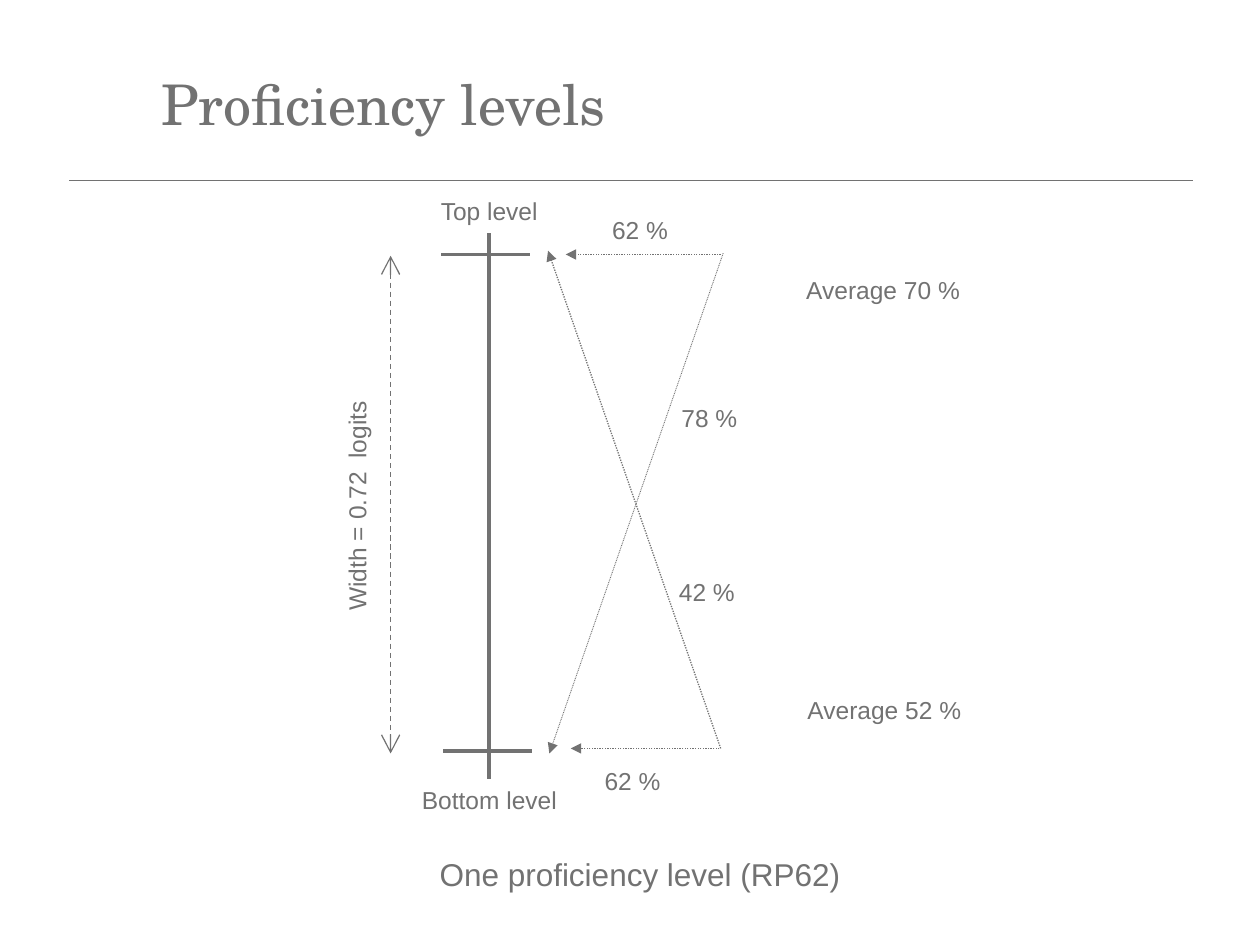
"""Build the slide that shows the width and success rates of one proficiency level."""
from pptx import Presentation
from pptx.dml.color import RGBColor
from pptx.enum.dml import MSO_LINE_DASH_STYLE as Dash
from pptx.enum.shapes import MSO_CONNECTOR as Connector
from pptx.enum.text import MSO_ANCHOR as Anchor, MSO_AUTO_SIZE as AutoSize
from pptx.oxml.ns import qn
from pptx.util import Inches, Pt
from lxml.etree import SubElement

GRAY = RGBColor(0x72, 0x72, 0x72)

TITLE = ("Proficiency levels", 1.18, 0.26, 8.11, 1.12)
CAPTION = ("One proficiency level (RP62)", 3.39, 6.74, 3.38, 0.4)
WIDTH_LABEL = ("Width = 0.72  logits", 1.9, 3.84, 1.87, 0.34)
LABELS = [
    ("Bottom level", 3.25, 6.18, 1.28, 0.34),
    ("Top level", 3.4, 1.51, 0.97, 0.34),
    ("62 %", 4.7, 6.03, 0.67, 0.33),
    ("62 %", 4.76, 1.66, 0.67, 0.33),
    ("42 %", 5.29, 4.53, 0.67, 0.33),
    ("78 %", 5.31, 3.15, 0.67, 0.33),
    ("Average 52 %", 6.31, 5.47, 1.42, 0.33),
    ("Average 70 %", 6.3, 2.13, 1.42, 0.33),
]

RULE = (0.55, 1.43, 9.47, 1.43)
SCALE = [
    (3.88, 1.85, 3.88, 6.18),
    (3.5, 2.02, 4.21, 2.02),
    (3.52, 5.96, 4.22, 5.96),
]
WIDTH_ARROW = (3.1, 2.03, 3.1, 5.98)
RATE_ARROWS = [
    ((5.72, 5.94, 4.35, 1.99), 0.75),
    ((5.74, 2.01, 4.36, 5.98), 0.5),
    ((5.71, 5.94, 4.53, 5.94), 0.75),
    ((5.72, 2.02, 4.49, 2.02), 0.75),
]
OPEN_HEAD = {"type": "arrow", "w": "lg", "len": "lg"}
SOLID_HEAD = {"type": "triangle"}


def add_line(slide, ends, width, dash=None, **arrowheads):
    connector = slide.shapes.add_connector(Connector.STRAIGHT, *map(Inches, ends))
    connector.line.color.rgb = GRAY
    connector.line.width = Pt(width)
    if dash:
        connector.line.dash_style = dash
    properties = connector.element.spPr
    for end, head in arrowheads.items():
        SubElement(properties.find(qn("a:ln")), qn(f"a:{end}"), head)
    SubElement(properties, qn("a:effectLst"))


def add_text(slide, label, size=14, font="Arial", **frame_format):
    text, *box = label
    shape = slide.shapes.add_textbox(*map(Inches, box))
    frame = shape.text_frame
    frame_values = {"word_wrap": False, "auto_size": AutoSize.SHAPE_TO_FIT_TEXT}
    for name, value in (frame_values | frame_format).items():
        setattr(frame, name, value)
    run = frame.paragraphs[0].add_run()
    run.text = text
    for name, value in {"name": font, "size": Pt(size)}.items():
        setattr(run.font, name, value)
    run.font.color.rgb = GRAY
    return shape


def main():
    presentation = Presentation()
    presentation.slide_width = Inches(10)
    presentation.slide_height = Inches(7.5)
    slide = presentation.slides.add_slide(presentation.slide_layouts[6])

    add_line(slide, RULE, 0.5)
    for ends in SCALE:
        add_line(slide, ends, 2.25)
    add_line(slide, WIDTH_ARROW, 0.75, Dash.DASH, headEnd=OPEN_HEAD, tailEnd=OPEN_HEAD)
    for ends, width in RATE_ARROWS:
        add_line(slide, ends, width, Dash.ROUND_DOT, tailEnd=SOLID_HEAD)

    add_text(slide, CAPTION, 18)
    add_text(slide, WIDTH_LABEL).rotation = 270
    for label in LABELS:
        add_text(slide, label)
    add_text(slide, TITLE, 32, "TeX Gyre Schola", word_wrap=True,
             auto_size=AutoSize.NONE, vertical_anchor=Anchor.MIDDLE)
    presentation.save("out.pptx")


if __name__ == "__main__":
    main()
